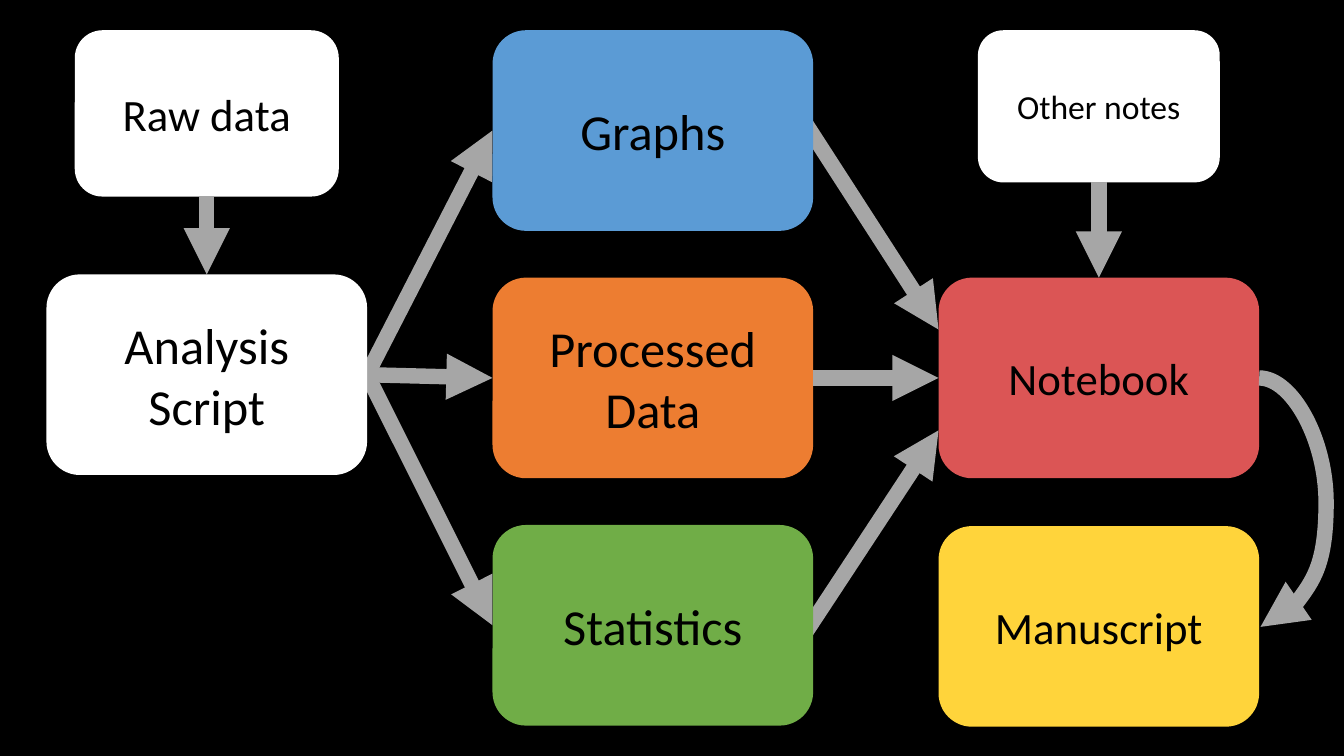
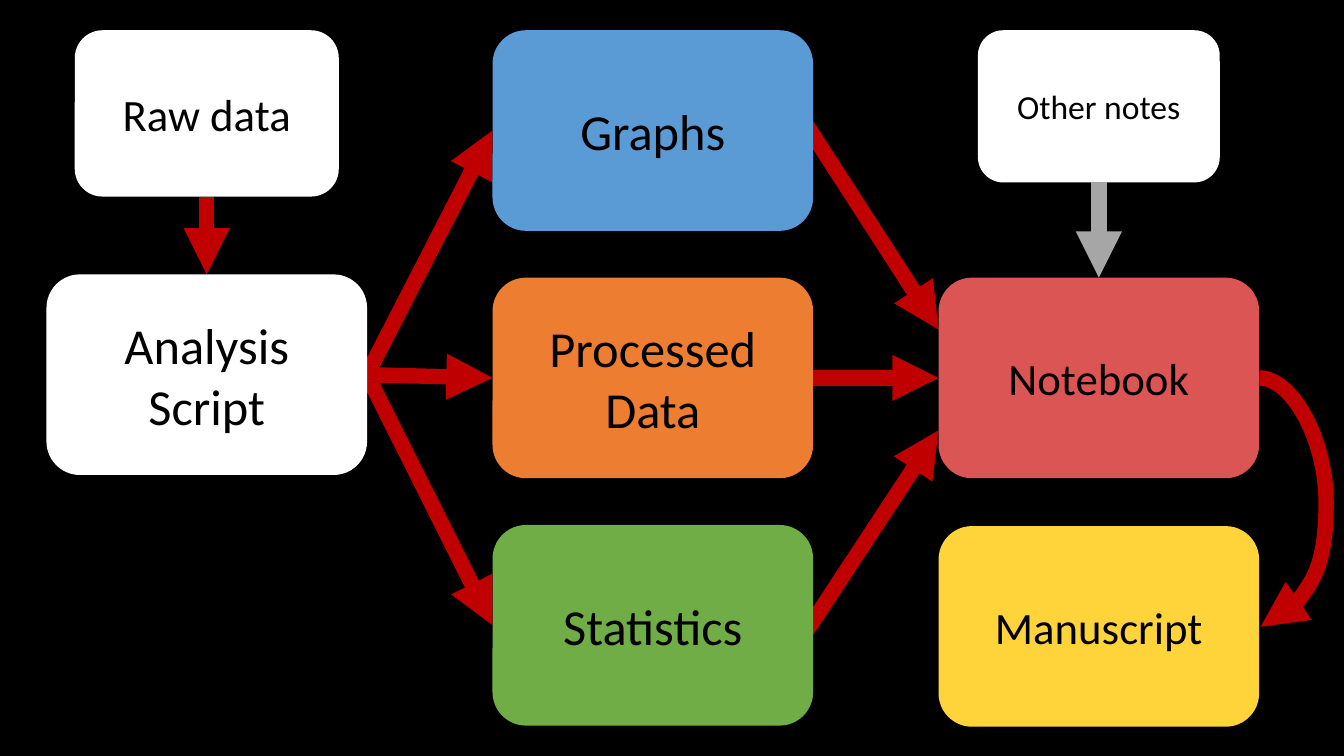
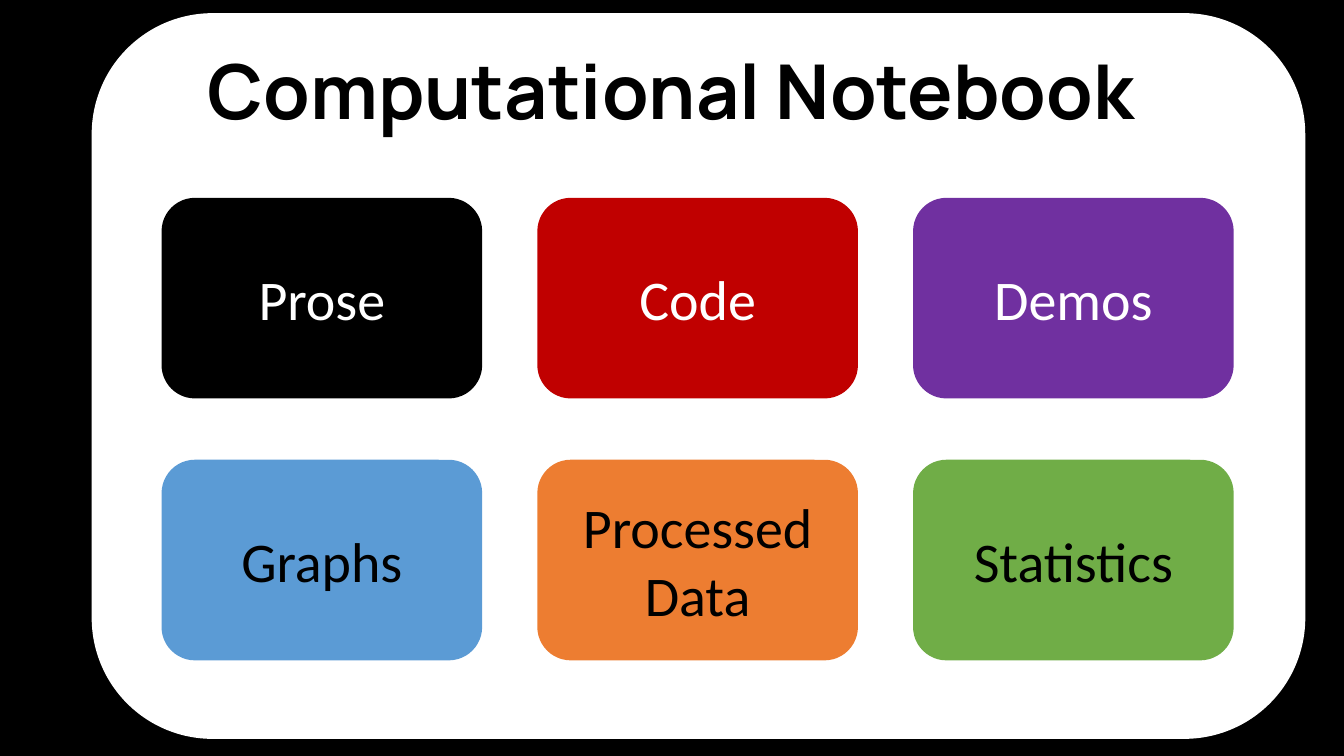
"""Build three slides on a research workflow and its computational notebook."""
import dataclasses
import typing

import lxml.etree
import pptx
import pptx.dml.color
import pptx.enum.shapes
import pptx.enum.text
import pptx.oxml.ns
import pptx.util

BLACK, WHITE = "000000", "FFFFFF"
BLUE, ORANGE, GREEN = "5B9BD5", "ED7D31", "70AD47"
RED, CORAL, YELLOW, PURPLE, GREY = "C00000", "DB5555", "FFD43B", "7030A0", "A6A6A6"

BOX_WIDTH, BOX_HEIGHT = 229, 143.3
FLOW_COLUMNS = [33.2 + 318.6 * column for column in range(3)]
FLOW_ROWS = [21.6 + 176.7 * row for row in range(3)]
TOP, LEFT, BOTTOM, RIGHT = range(4)
ARROW_WIDTH = 11
CURVE_BULGE = 48.2


@dataclasses.dataclass(frozen=True)
class Box:
    """A rounded box with a centred label."""
    label: str
    left: float
    top: float
    fill: str
    size: float = 36
    width: float = BOX_WIDTH
    height: float = BOX_HEIGHT
    ink: str = BLACK


@dataclasses.dataclass(frozen=True)
class Link:
    """An arrow from a side of one box to a side of another."""
    source: str
    source_side: int
    target: str
    target_side: int


@dataclasses.dataclass(frozen=True)
class Arrow:
    """An arrow between two free points."""
    start: tuple[float, float]
    end: tuple[float, float]
    curved: bool = False


def source_box(label: str, column: int, size: float, width: float, height: float) -> Box:
    """Return a white box centred above a flow column."""
    left = FLOW_COLUMNS[column] + (BOX_WIDTH - width) / 2
    return Box(label, left, FLOW_ROWS[0], WHITE, size, width, height)


FLOW_BOXES = [
    Box("Graphs", FLOW_COLUMNS[1], FLOW_ROWS[0], BLUE),
    Box("Processed Data", FLOW_COLUMNS[1], FLOW_ROWS[1], ORANGE),
    Box("Statistics", FLOW_COLUMNS[1], FLOW_ROWS[2], GREEN),
    Box("Analysis Script", FLOW_COLUMNS[0], 196, WHITE),
    Box("Notebook", FLOW_COLUMNS[2], FLOW_ROWS[1], CORAL, 32),
    Box("Manuscript", FLOW_COLUMNS[2], 375.8, YELLOW, 32),
    source_box("Raw data", 0, 32, 188.6, 118.8),
    source_box("Other notes", 2, 24, 172.8, 108.7),
]
FLOW_LINKS = [
    Link("Raw data", BOTTOM, "Analysis Script", TOP),
    Link("Analysis Script", RIGHT, "Graphs", LEFT),
    Link("Analysis Script", RIGHT, "Processed Data", LEFT),
    Link("Analysis Script", RIGHT, "Statistics", LEFT),
    Link("Processed Data", RIGHT, "Notebook", LEFT),
]
NOTES_LINK = Link("Other notes", BOTTOM, "Notebook", TOP)
RESULT_ARROWS = [
    Arrow((573.8, 85.7), (FLOW_COLUMNS[2], 235.4)),
    Arrow((573.8, 454.3), (FLOW_COLUMNS[2], 307.4)),
]
MANUSCRIPT_ARROW = Arrow((899.4, 270), (900.4, 447.8), curved=True)

NOTEBOOK_ROWS = [
    [("Prose", BLACK, WHITE), ("Code", RED, WHITE), ("Demos", PURPLE, WHITE)],
    [("Graphs", BLUE, BLACK), ("Processed Data", ORANGE, BLACK), ("Statistics", GREEN, BLACK)],
]


def colour(hex_code: str) -> pptx.dml.color.RGBColor:
    """Turn a hex string into a colour."""
    return pptx.dml.color.RGBColor.from_string(hex_code)


def apply_format(target: typing.Any, values: dict[str, typing.Any]) -> None:
    """Set every named attribute on the target."""
    for name, value in values.items():
        setattr(target, name, value)


def write_label(frame: typing.Any, text: str, font: str, size: float, ink: str,
                bold: bool, align: typing.Any) -> None:
    """Fill a text frame with one formatted paragraph."""
    paragraph = frame.paragraphs[0]
    paragraph.alignment = align
    run = paragraph.add_run()
    run.text = text
    apply_format(run.font, {"name": font, "size": pptx.util.Pt(size), "bold": bold})
    run.font.color.rgb = colour(ink)


def draw_box(shapes: typing.Any, box: Box) -> typing.Any:
    """Draw a rounded box and return it."""
    drawn = shapes.add_shape(
        pptx.enum.shapes.MSO_SHAPE.ROUNDED_RECTANGLE,
        *map(pptx.util.Pt, (box.left, box.top, box.width, box.height)))
    drawn.shadow.inherit = False
    drawn.fill.solid()
    drawn.fill.fore_color.rgb = colour(box.fill)
    drawn.line.fill.background()
    if box.label:
        apply_format(drawn.text_frame, {
            "word_wrap": True, "vertical_anchor": pptx.enum.text.MSO_ANCHOR.MIDDLE})
        write_label(drawn.text_frame, box.label, "Calibri", box.size, box.ink, False,
                    pptx.enum.text.PP_ALIGN.CENTER)
    return drawn


def draw_arrow(shapes: typing.Any, arrow: Arrow, ink: str) -> typing.Any:
    """Draw a thick arrow and return its connector."""
    kinds = pptx.enum.shapes.MSO_CONNECTOR
    connector = shapes.add_connector(
        kinds.CURVE if arrow.curved else kinds.STRAIGHT,
        *map(pptx.util.Pt, arrow.start + arrow.end))
    connector.line.color.rgb = colour(ink)
    connector.line.width = pptx.util.Pt(ARROW_WIDTH)
    qn = pptx.oxml.ns.qn
    properties = connector.element.spPr
    lxml.etree.SubElement(properties.find(qn("a:ln")), qn("a:tailEnd"), type="triangle")
    lxml.etree.SubElement(properties, qn("a:effectLst"))
    if arrow.curved:
        bend = round(CURVE_BULGE / (arrow.end[0] - arrow.start[0]) * 100000)
        adjustments = properties.find(qn("a:prstGeom")).find(qn("a:avLst"))
        lxml.etree.SubElement(adjustments, qn("a:gd"), name="adj1", fmla=f"val {bend}")
    return connector


def draw_link(shapes: typing.Any, boxes: dict[str, typing.Any], link: Link, ink: str) -> None:
    """Join two drawn boxes with an arrow."""
    connector = draw_arrow(shapes, Arrow((0, 0), (0, 0)), ink)
    connector.begin_connect(boxes[link.source], link.source_side)
    connector.end_connect(boxes[link.target], link.target_side)


def bring_to_front(shape: typing.Any) -> None:
    """Move a shape above all others on its slide."""
    shape.element.getparent().append(shape.element)


def add_flow_slide(deck: typing.Any, flow_ink: str) -> None:
    """Add the workflow with its main path in the given colour."""
    shapes = deck.slides.add_slide(deck.slide_layouts.get_by_name("Blank")).shapes
    for arrow in RESULT_ARROWS:
        draw_arrow(shapes, arrow, flow_ink)
    boxes = {box.label: draw_box(shapes, box) for box in FLOW_BOXES}
    for link in FLOW_LINKS:
        draw_link(shapes, boxes, link, flow_ink)
    draw_link(shapes, boxes, NOTES_LINK, GREY)
    draw_arrow(shapes, MANUSCRIPT_ARROW, flow_ink)
    bring_to_front(boxes["Analysis Script"])


def add_notebook_slide(deck: typing.Any) -> None:
    """Add the overview of what a notebook holds."""
    slide = deck.slides.add_slide(deck.slide_layouts.get_by_name("Title Only"))
    draw_box(slide.shapes, Box("", 65.5, 9.4, WHITE, width=866.9, height=518.4))
    for row, parts in enumerate(NOTEBOOK_ROWS):
        group = slide.shapes.add_group_shape()
        for column, (label, fill, ink) in enumerate(parts):
            draw_box(group.shapes, Box(label, 115.4 + 268.4 * column, 141.3 + 187.1 * row,
                                       fill, 40, ink=ink))
    heading = slide.shapes.title
    bounds = {"left": 141.1, "top": 28.1, "width": 678.2, "height": 72.7}
    apply_format(heading, {side: pptx.util.Pt(value) for side, value in bounds.items()})
    apply_format(heading.text_frame, {
        "word_wrap": False,
        "auto_size": pptx.enum.text.MSO_AUTO_SIZE.NONE,
        "vertical_anchor": pptx.enum.text.MSO_ANCHOR.TOP})
    write_label(heading.text_frame, "Computational Notebook", "Manrope", 54, BLACK, True,
                pptx.enum.text.PP_ALIGN.LEFT)
    bring_to_front(heading)


def main() -> None:
    """Build and save the deck."""
    deck = pptx.Presentation()
    apply_format(deck, {"slide_width": pptx.util.Pt(960), "slide_height": pptx.util.Pt(540)})
    backdrop = deck.slide_master.background.fill
    backdrop.solid()
    backdrop.fore_color.rgb = colour(BLACK)
    for flow_ink in (GREY, RED):
        add_flow_slide(deck, flow_ink)
    add_notebook_slide(deck)
    deck.save("out.pptx")


if __name__ == "__main__":
    main()
